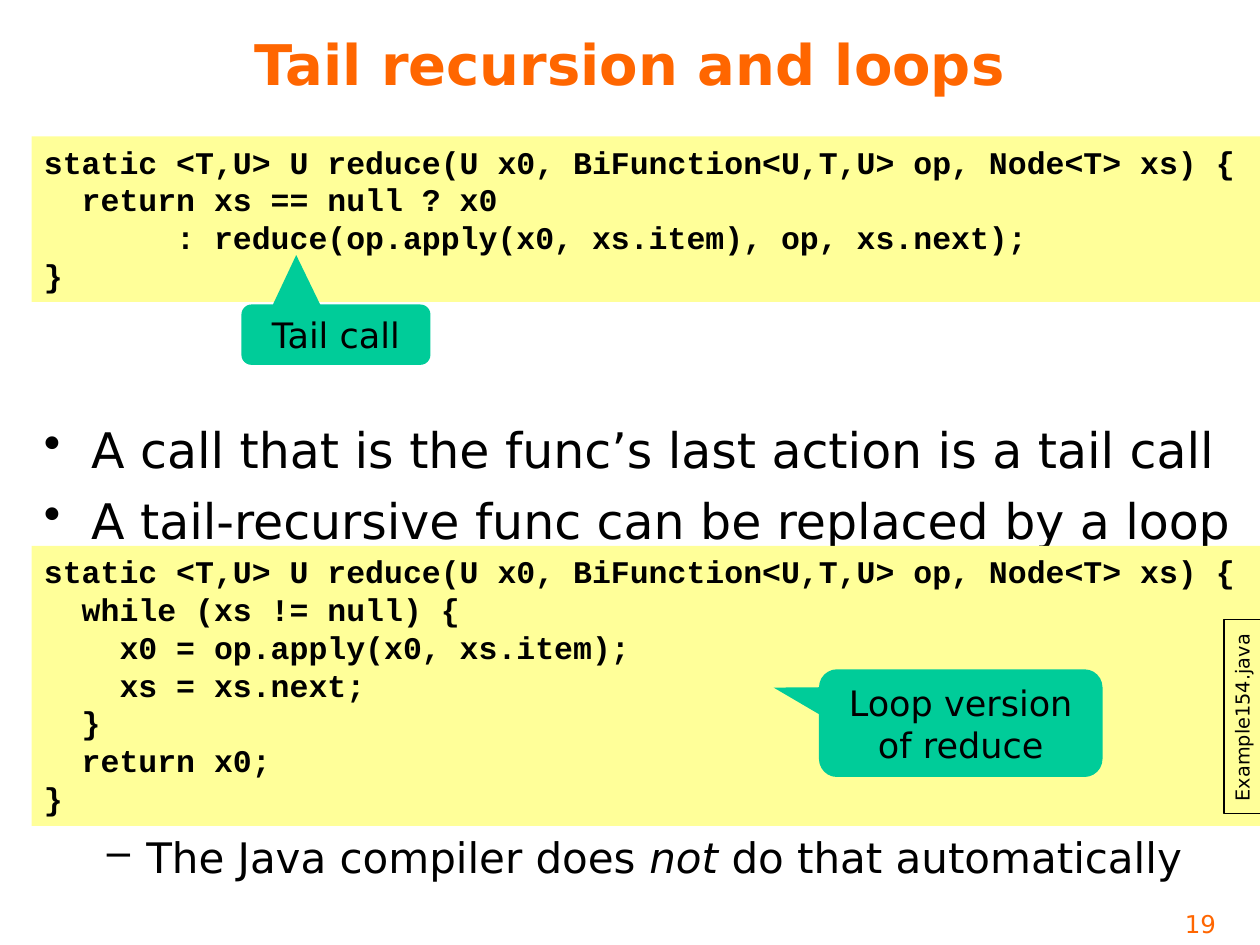
from lxml import etree
from pptx import Presentation
from pptx.dml import color as c
from pptx.enum import shapes as s, text as t
from pptx.oxml import ns
from pptx.util import Pt

SANS, MONO = "DejaVu Sans", "Courier New"
ORANGE, YELLOW, GREEN, BLACK = "FF6600", "FFFF99", "00CC99", "000000"
HEAD = "static <T,U> U reduce(U x0, BiFunction<U,T,U> op, Node<T> xs) {\n"
TAIL = HEAD + """  return xs == null ? x0
       : reduce(op.apply(x0, xs.item), op, xs.next);
}"""
LOOP = HEAD + """  while (xs != null) {
    x0 = op.apply(x0, xs.item);
    xs = xs.next;
  }
  return x0;
}"""


def rgb(code):
    """Turn a hex string into a colour."""
    return c.RGBColor.from_string(code)


def add_run(par, words, size=28, font=SANS, color=BLACK, bold=False, italic=False):
    """Add formatted words to a paragraph."""
    run = par.add_run()
    run.text = words
    face = run.font
    face.name, face.size, face.bold, face.italic = font, Pt(size), bold, italic
    face.color.rgb = rgb(color)


def write(frame, words, align=t.PP_ALIGN.LEFT, anchor=t.MSO_ANCHOR.TOP, wrap=True, **form):
    """Fill a text frame, one paragraph for each line."""
    frame.word_wrap, frame.vertical_anchor = wrap, anchor
    frame.auto_size = t.MSO_AUTO_SIZE.NONE
    for i, line in enumerate(words.split("\n")):
        par = frame.add_paragraph() if i else frame.paragraphs[0]
        par.alignment = align
        add_run(par, line, **form)


def add_box(slide, box, kind=s.MSO_SHAPE.RECTANGLE, fill=None, line=None):
    """Add a plain shape with optional fill and line."""
    shape = slide.shapes.add_shape(kind, *map(Pt, box))
    shape.shadow.inherit = False
    if fill:
        shape.fill.solid()
        shape.fill.fore_color.rgb = rgb(fill)
    else:
        shape.fill.background()
    if line:
        shape.line.color.rgb = rgb(line)
        shape.line.width = Pt(0.75)
    else:
        shape.line.fill.background()
    return shape


def add_title(slide, box, words):
    """Place and fill the title placeholder."""
    title = slide.shapes.title
    title.left, title.top, title.width, title.height = map(Pt, box)
    write(title.text_frame, words, t.PP_ALIGN.CENTER, t.MSO_ANCHOR.MIDDLE,
          size=32, color=ORANGE, bold=True)


def add_code(slide, box, words):
    """Add a yellow code panel."""
    panel = add_box(slide, box, fill=YELLOW)
    write(panel.text_frame, words, size=18, font=MONO, bold=True)


def add_note(slide, box, words, tip):
    """Add a green callout pointing at tip."""
    note = add_box(slide, box, s.MSO_SHAPE.ROUNDED_RECTANGULAR_CALLOUT, GREEN)
    note.adjustments[0], note.adjustments[1] = tip
    write(note.text_frame, words, t.PP_ALIGN.CENTER, t.MSO_ANCHOR.MIDDLE, size=20)


def add_label(slide, box, words):
    """Add an outlined file label that reads upwards."""
    label = add_box(slide, box, line=BLACK)
    label.rotation = 270
    write(label.text_frame, words, wrap=False, size=11)


def add_bullets(slide, box, items):
    """Add bulleted paragraphs; each item is mark, left, hang, gap, size and parts."""
    frame = slide.shapes.add_textbox(*map(Pt, box)).text_frame
    frame.word_wrap = True
    for i, (mark, left, hang, gap, size, parts) in enumerate(items):
        par = frame.add_paragraph() if i else frame.paragraphs[0]
        par.space_before = Pt(gap)
        prop = par._p.get_or_add_pPr()
        prop.set("marL", str(Pt(left)))
        prop.set("indent", str(-Pt(hang)))
        etree.SubElement(prop, ns.qn("a:buChar")).set("char", mark)
        for words, italic in parts:
            add_run(par, words, size=size, italic=italic)


def add_number(slide, box, words):
    """Add the page number."""
    frame = slide.shapes.add_textbox(*map(Pt, box)).text_frame
    write(frame, words, t.PP_ALIGN.RIGHT, size=14, color=ORANGE)


def main():
    """Build and save the slide."""
    deck = Presentation()
    deck.slide_width, deck.slide_height = Pt(720), Pt(540)
    slide = deck.slides.add_slide(deck.slide_layouts[5])
    add_title(slide, (18, 0, 684, 72), "Tail recursion and loops")
    add_bullets(slide, (18, 236, 702, 250), [
        ("•", 27, 27, 0, 28, [("A call that is the func’s last action is a tail call", False)]),
        ("•", 27, 27, 7, 28, [("A tail-recursive func can be replaced by a loop", False)]),
        ("–", 58.5, 22.5, 161.5, 24, [("The Java compiler does ", False), ("not", True),
                                      (" do that automatically", False)]),
    ])
    add_code(slide, (18, 78, 702, 94.5), TAIL)
    add_code(slide, (18, 312, 702, 160), LOOP)
    add_label(slide, (654.5, 399, 111, 21), "Example154.java")
    add_note(slide, (138, 174, 108, 34.5), "Tail call", (-0.21, -1.32))
    add_note(slide, (468, 382.5, 162, 61.5), "Loop version of reduce", (-0.66, -0.33))
    add_number(slide, (654, 516, 48, 24), "19")
    deck.save("out.pptx")


if __name__ == "__main__":
    main()
